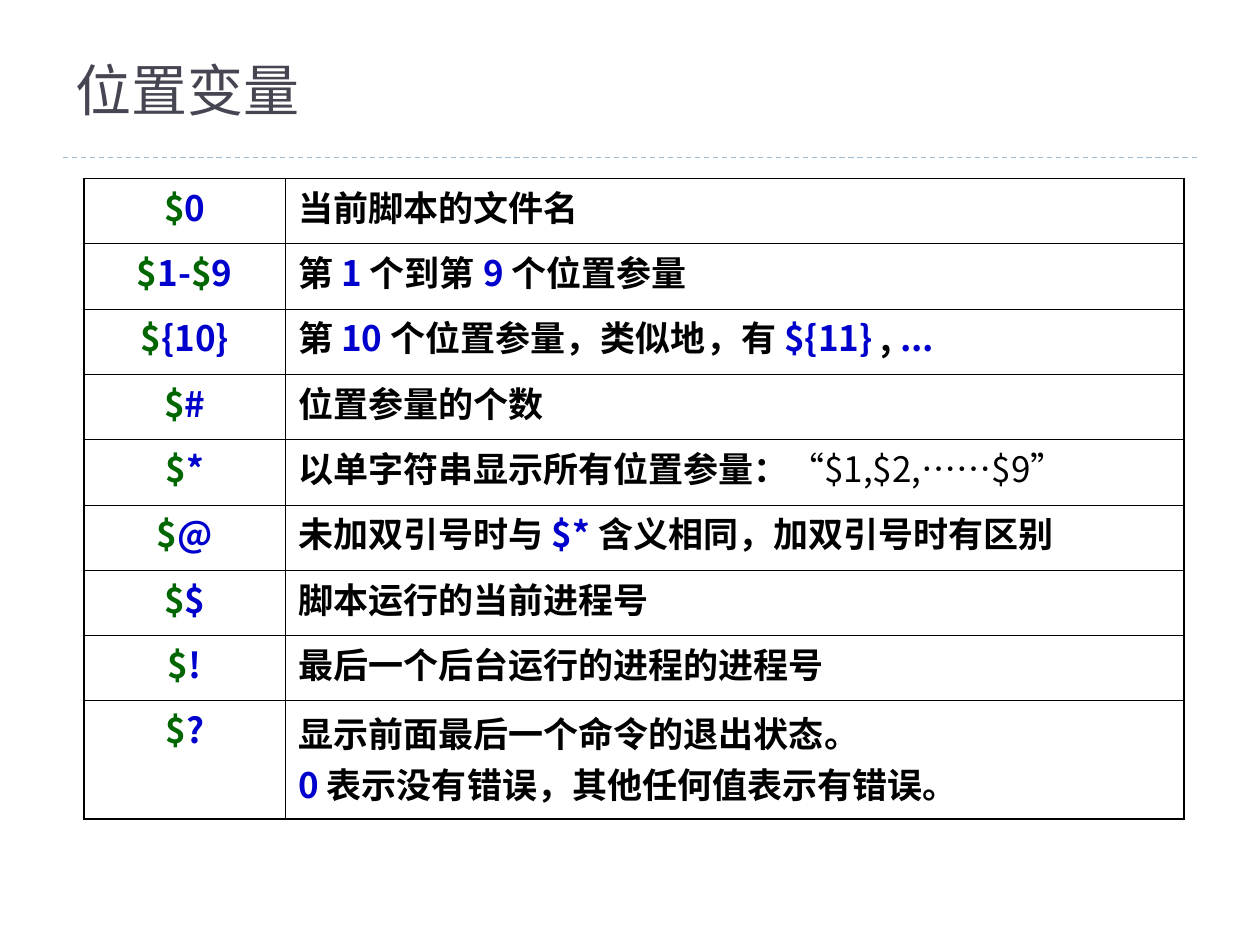
import pptx
import pptx.dml.color
import pptx.enum.dml
import pptx.enum.shapes
import pptx.enum.text
import pptx.oxml.ns
import pptx.util
from lxml import etree

Pt = pptx.util.Pt
PP_ALIGN = pptx.enum.text.PP_ALIGN
qn = pptx.oxml.ns.qn

COLORS = {"title": "464653", "rule": "9FB8CD", "sign": "006600",
          "code": "0000CC", "text": "000000", "border": "000000"}
CJK = "Noto Sans CJK SC"
THIN, THICK = 0.45, 1.08

ROWS = [
    ([("sign", "$"), ("code", "0")], [("text", "当前脚本的文件名")]),
    ([("sign", "$"), ("code", "1-"), ("sign", "$"), ("code", "9")],
     [("text", "第 "), ("code", "1 "), ("text", "个到第 "), ("code", "9 "),
      ("text", "个位置参量")]),
    ([("sign", "$"), ("code", "{10}")],
     [("text", "第 "), ("code", "10 "), ("text", "个位置参量，类似地，有 "),
      ("code", "${11} "), ("text", ", "), ("code", "...")]),
    ([("sign", "$"), ("code", "#")], [("text", "位置参量的个数")]),
    ([("sign", "$"), ("code", "*")],
     [("text", "以单字符串显示所有位置参量："), ("text", "“$1,$2,……$9”", False)]),
    ([("sign", "$"), ("code", "@")],
     [("text", "未加双引号时与 "), ("code", "$* "),
      ("text", "含义相同，加双引号时有区别")]),
    ([("sign", "$"), ("code", "$")], [("text", "脚本运行的当前进程号")]),
    ([("sign", "$"), ("code", "!")], [("text", "最后一个后台运行的进程的进程号")]),
    ([("sign", "$"), ("code", "?")],
     [("text", "显示前面最后一个命令的退出状态。"), None, ("code", "0 "),
      ("text", "表示没有错误，其他任何值表示有错误。")]),
]


def rgb(key):
    return pptx.dml.color.RGBColor.from_string(COLORS[key])


def add_run(p, color, text, size, font, bold=False):
    r = p.add_run()
    r.text = text
    r.font.size = Pt(size)
    r.font.name = font
    r.font.bold = bold
    r.font.color.rgb = rgb(color)
    etree.SubElement(r.font._element, qn("a:ea")).set("typeface", CJK)


def set_borders(cell, widths):
    tcPr = cell._tc.get_or_add_tcPr()
    for i, (side, width) in enumerate(zip("LRTB", widths)):
        ln = etree.Element(qn(f"a:ln{side}"), w=str(Pt(width)))
        fill = etree.SubElement(ln, qn("a:solidFill"))
        etree.SubElement(fill, qn("a:srgbClr")).set("val", COLORS["border"])
        tcPr.insert(i, ln)


def add_title(s, x, y, w, h):
    sp = s.shapes.add_textbox(Pt(x), Pt(y), Pt(w), Pt(h))
    tf = sp.text_frame
    tf.word_wrap = True
    tf.vertical_anchor = pptx.enum.text.MSO_ANCHOR.MIDDLE
    add_run(tf.paragraphs[0], "title", "位置变量", 32, "Arial")


def add_rule(s, x, y, w):
    ln = s.shapes.add_connector(pptx.enum.shapes.MSO_CONNECTOR.STRAIGHT,
                                Pt(x), Pt(y), Pt(x + w), Pt(y))
    ln.line.color.rgb = rgb("rule")
    ln.line.width = Pt(0.75)
    ln.line.dash_style = pptx.enum.dml.MSO_LINE.DASH
    etree.SubElement(ln._element.spPr, qn("a:effectLst"))


def add_variable_table(s, x, y, w, h):
    name_width, last_height = 115.2, 67.5
    row_height = (h - last_height) / (len(ROWS) - 1)
    table = s.shapes.add_table(len(ROWS), 2, Pt(x), Pt(y), Pt(w), Pt(h)).table
    table.first_row = table.horz_banding = False
    table.columns[0].width = Pt(name_width)
    table.columns[1].width = Pt(w - name_width)
    last = len(ROWS) - 1
    for i, row in enumerate(ROWS):
        table.rows[i].height = Pt(last_height if i == last else row_height)
        for j, runs in enumerate(row):
            cell = table.cell(i, j)
            cell.fill.background()
            set_borders(cell, [THIN if j else THICK, THICK if j else THIN,
                               THIN if i else THICK,
                               THICK if i == last else THIN])
            p = cell.text_frame.paragraphs[0]
            p.alignment = PP_ALIGN.LEFT if j else PP_ALIGN.CENTER
            p.line_spacing = 1.0 if None in runs else 0.9
            for run in runs:
                if run is None:
                    p.add_line_break()
                    continue
                color, text, *bold = run
                add_run(p, color, text, 20, CJK, bold[0] if bold else True)


def main():
    prs = pptx.Presentation()
    prs.slide_width, prs.slide_height = Pt(720), Pt(540)
    s = prs.slides.add_slide(prs.slide_layouts[6])
    add_rule(s, 36, 90, 648)
    add_title(s, 36, 20, 648, 62)
    add_variable_table(s, 48, 102, 628.6, 366)
    prs.save("out.pptx")


if __name__ == "__main__":
    main()
